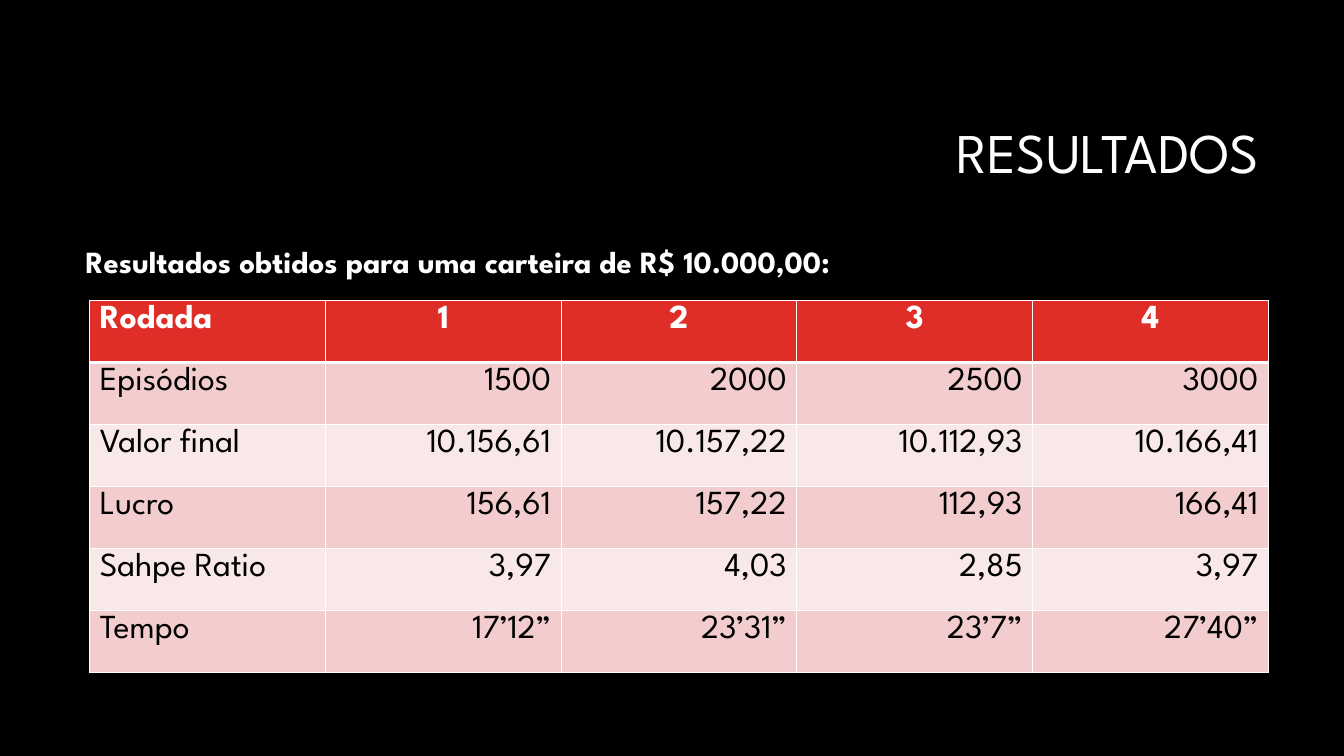
import pptx
import pptx.util
import pptx.dml.color
import pptx.enum.text
import pptx.oxml.ns
import lxml.etree

Inches = pptx.util.Inches
Pt = pptx.util.Pt
RGBColor = pptx.dml.color.RGBColor
ALIGN = pptx.enum.text.PP_ALIGN
ANCHOR = pptx.enum.text.MSO_ANCHOR
qn = pptx.oxml.ns.qn

TITLE = "RESULTADOS"
LEAD = "Resultados obtidos para uma carteira de R$ 10.000,00:"
ROWS = [
    ("Rodada", "1", "2", "3", "4"),
    ("Episódios", "1500", "2000", "2500", "3000"),
    ("Valor final", "10.156,61", "10.157,22", "10.112,93", "10.166,41"),
    ("Lucro", "156,61", "157,22", "112,93", "166,41"),
    ("Sahpe Ratio", "3,97", "4,03", "2,85", "3,97"),
    ("Tempo", "17’12”", "23’31”", "23’7”", "27’40”"),
]

FONT = "League Spartan"
BLACK = RGBColor(0x00, 0x00, 0x00)
WHITE = RGBColor(0xFF, 0xFF, 0xFF)
RED = RGBColor(0xDF, 0x2E, 0x28)
ROSE = RGBColor(0xF3, 0xCD, 0xCD)
PALE = RGBColor(0xF9, 0xE8, 0xE8)


def write(frame, text, size, color=WHITE, bold=False, align=ALIGN.LEFT, space=1.0):
    para = frame.paragraphs[0]
    para.alignment = align
    para.line_spacing = space
    run = para.add_run()
    run.text = text
    font = run.font
    font.name, font.size, font.bold = FONT, Pt(size), bold
    font.color.rgb = color


def edge(cell, side, width):
    props = cell._tc.get_or_add_tcPr()
    line = lxml.etree.SubElement(props, qn("a:ln" + side), w=str(Pt(width)))
    fill = lxml.etree.SubElement(line, qn("a:solidFill"))
    lxml.etree.SubElement(fill, qn("a:srgbClr"), val=str(WHITE))


def place(shape, left, top, width, height):
    shape.left, shape.top = Inches(left), Inches(top)
    shape.width, shape.height = Inches(width), Inches(height)


def main():
    deck = pptx.Presentation()
    deck.slide_width, deck.slide_height = Inches(13.33), Inches(7.5)
    slide = deck.slides.add_slide(deck.slide_layouts[5])
    slide.background.fill.solid()
    slide.background.fill.fore_color.rgb = BLACK

    title = slide.shapes.title
    place(title, 3.17, 0.84, 9.42, 1.41)
    title.text_frame.vertical_anchor = ANCHOR.MIDDLE
    write(title.text_frame, TITLE, 40, align=ALIGN.RIGHT, space=0.9)

    lead = slide.shapes.add_textbox(
        Inches(0.75), Inches(2.4), Inches(11.83), Inches(0.5))
    lead.text_frame.word_wrap = True
    write(lead.text_frame, LEAD, 22, bold=True, space=0.9)

    table = slide.shapes.add_table(
        len(ROWS), len(ROWS[0]),
        Inches(0.89), Inches(2.98), Inches(11.69), Inches(3.69)).table
    for r, row in enumerate(ROWS):
        head = r == 0
        for c, text in enumerate(row):
            cell = table.cell(r, c)
            edge(cell, "L", 1)
            edge(cell, "R", 1)
            edge(cell, "T", 3 if r == 1 else 1)
            edge(cell, "B", 3 if head else 1)
            cell.fill.solid()
            cell.fill.fore_color.rgb = RED if head else ROSE if r % 2 else PALE
            cell.vertical_anchor = ANCHOR.TOP
            align = ALIGN.LEFT if c == 0 else ALIGN.CENTER if head else ALIGN.RIGHT
            write(cell.text_frame, text, 24, WHITE if head else BLACK, head, align)

    deck.save("out.pptx")


if __name__ == "__main__":
    main()
